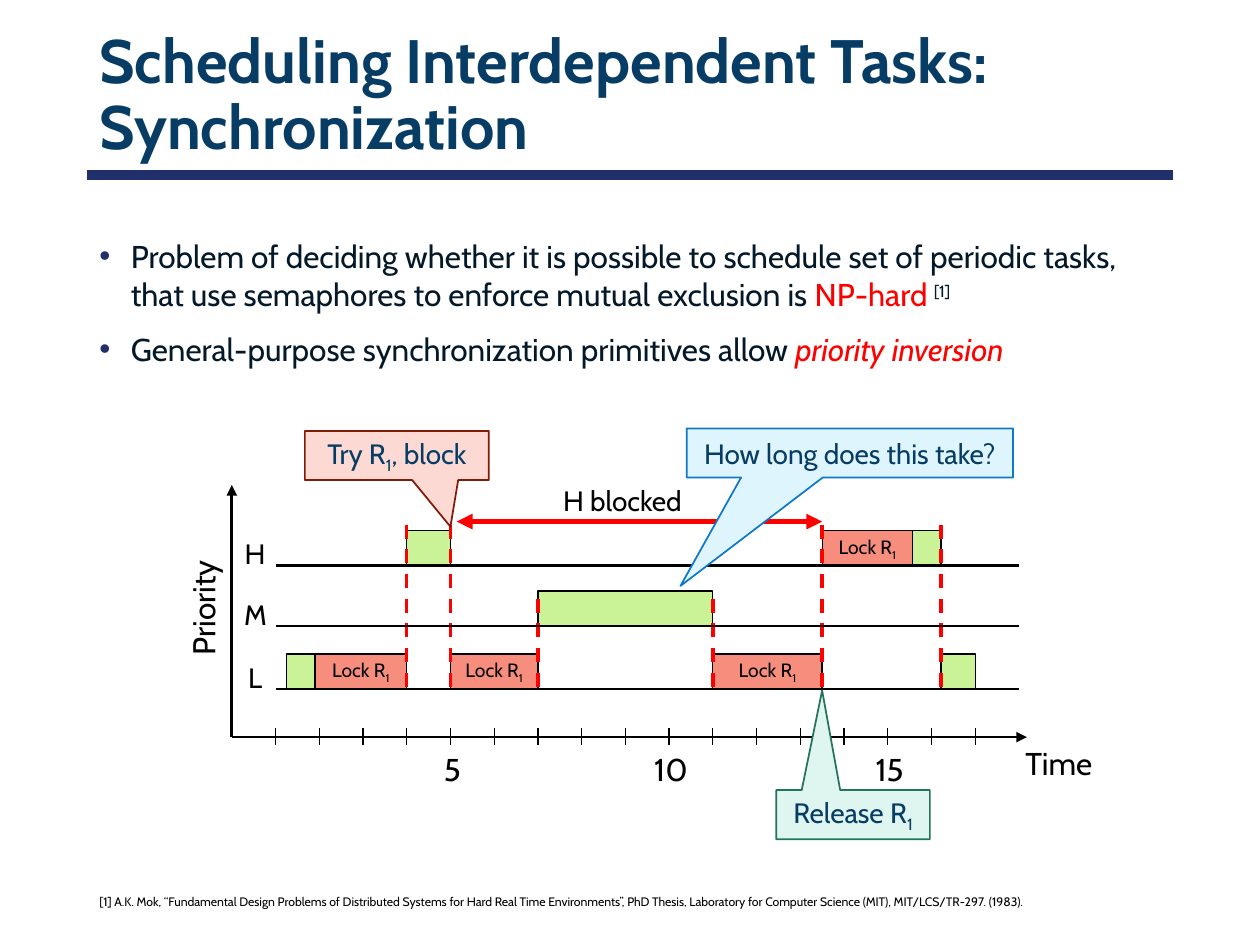
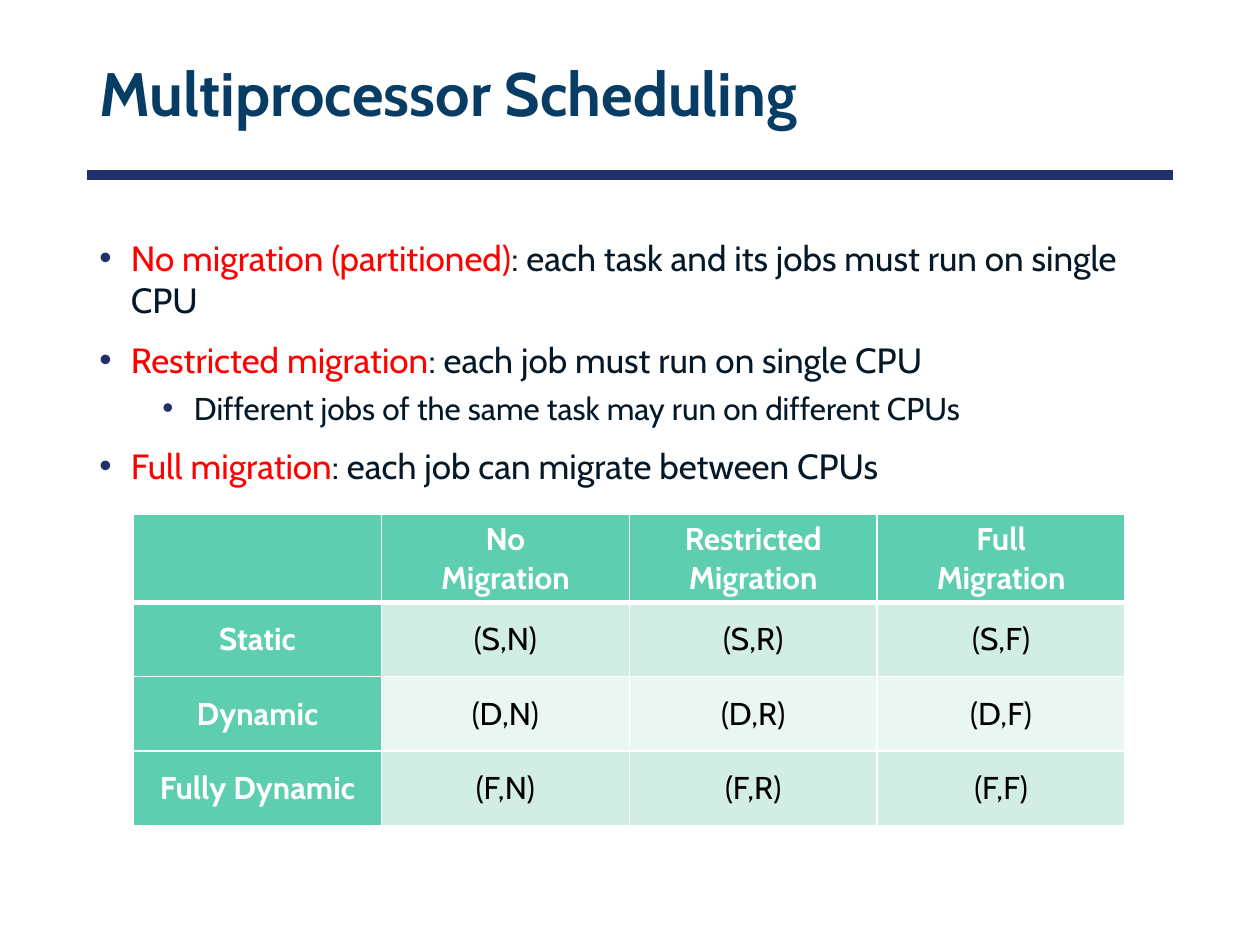
import lxml.etree
import pptx
import pptx.dml.color
import pptx.enum.dml
import pptx.enum.shapes
import pptx.enum.text
import pptx.oxml.ns
import pptx.util

Inches = pptx.util.Inches
Pt = pptx.util.Pt
RGBColor = pptx.dml.color.RGBColor
Align = pptx.enum.text.PP_ALIGN
Anchor = pptx.enum.text.MSO_ANCHOR
Shape = pptx.enum.shapes.MSO_SHAPE
qn = pptx.oxml.ns.qn

FONT = "Cabin"
BLACK = RGBColor(0x00, 0x00, 0x00)
WHITE = RGBColor(0xFF, 0xFF, 0xFF)
RED = RGBColor(0xFF, 0x00, 0x00)
NAVY = RGBColor(0x21, 0x30, 0x6A)
TITLE_BLUE = RGBColor(0x07, 0x3C, 0x65)
BODY_INK = RGBColor(0x03, 0x18, 0x28)
RUN_GREEN = RGBColor(0xCA, 0xF2, 0x97)
LOCK_RED = RGBColor(0xF7, 0x8D, 0x7C)
SKY, SKY_EDGE = RGBColor(0xDF, 0xF5, 0xFD), RGBColor(0x0D, 0x79, 0xCA)
ROSE, ROSE_EDGE = RGBColor(0xFC, 0xD9, 0xD3), RGBColor(0x82, 0x1A, 0x08)
MINT, MINT_EDGE = RGBColor(0xDF, 0xF5, 0xEF), RGBColor(0x23, 0x73, 0x5D)
HEADER_GREEN = RGBColor(0x5D, 0xCE, 0xAF)
ROW_BANDS = [RGBColor(0xD2, 0xED, 0xE3), RGBColor(0xEA, 0xF6, 0xF2)]

CONTENT_LEFT, CONTENT_WIDTH = 0.69, 8.62
SUBSCRIPT = {"baseline": -25}
HIGHLIGHT = {"color": RED}


def element(parent, tag, **attributes):
    return lxml.etree.SubElement(parent, qn(tag), attributes)


def add_spans(para, spans, **base):
    """Add spans, each a string or a (string, format) pair, over a base format."""
    for item in spans:
        text, extra = (item, {}) if isinstance(item, str) else item
        style = {"name": FONT, "size": 16, "color": BLACK, **base, **extra}
        span = para.add_run()
        span.text = text
        span.font.color.rgb = style.pop("color")
        style["size"] = Pt(style["size"])
        baseline = style.pop("baseline", None)
        for key, value in style.items():
            setattr(span.font, key, value)
        if baseline:
            span.font._element.set("baseline", str(baseline * 1000))


def add_text(page, box, spans, align=Align.LEFT, anchor=Anchor.TOP, wrap=True, **style):
    label = page.shapes.add_textbox(*map(Inches, box))
    frame = label.text_frame
    frame.word_wrap = wrap
    frame.vertical_anchor = anchor
    frame.paragraphs[0].alignment = align
    add_spans(frame.paragraphs[0], spans, **style)
    return label


def add_line(page, start, end, width=1.5, color=BLACK, dashed=False, ends=()):
    """Draw a straight line; ends may name headEnd and tailEnd for arrowheads."""
    line = page.shapes.add_connector(
        pptx.enum.shapes.MSO_CONNECTOR.STRAIGHT, *map(Inches, (*start, *end)))
    line.line.color.rgb = color
    line.line.width = Pt(width)
    if dashed:
        line.line.dash_style = pptx.enum.dml.MSO_LINE.DASH
    for end_name in ends:
        element(line.line._get_or_add_ln(), f"a:{end_name}", type="triangle")
    element(line._element.spPr, "a:effectLst")


def add_filled(page, kind, box, fill, edge, edge_width, spans=(), wrap=True, **style):
    shape = page.shapes.add_shape(kind, *map(Inches, box))
    shape.shadow.inherit = False
    shape.fill.solid()
    shape.fill.fore_color.rgb = fill
    shape.line.color.rgb = edge
    shape.line.width = Pt(edge_width)
    if spans:
        frame = shape.text_frame
        frame.word_wrap = wrap
        frame.vertical_anchor = Anchor.MIDDLE
        frame.paragraphs[0].alignment = Align.CENTER
        add_spans(frame.paragraphs[0], spans, **style)
    return shape


def add_callout(page, box, tip, fill, edge, spans):
    """Draw a rectangular callout whose pointer reaches the point tip."""
    left, top, width, height = box
    shape = add_filled(page, Shape.RECTANGULAR_CALLOUT, box, fill, edge, 1, spans,
                       color=TITLE_BLUE)
    shape.adjustments[0] = (tip[0] - left) / width - 0.5
    shape.adjustments[1] = (tip[1] - top) / height - 0.5


def add_page(deck, title):
    page = deck.slides.add_slide(deck.slide_layouts[6])
    add_line(page, (CONTENT_LEFT, 1.39), (CONTENT_LEFT + CONTENT_WIDTH, 1.39), 6, NAVY)
    label = add_text(page, (CONTENT_LEFT, 0.23, CONTENT_WIDTH, 1.08), [title],
                     anchor=Anchor.MIDDLE, size=35, color=TITLE_BLUE, bold=True)
    label.text_frame.paragraphs[0].line_spacing = 0.9
    return page


def add_bullets(page, box, bullets):
    """Add bullets given as (level, size, spans)."""
    frame = page.shapes.add_textbox(*map(Inches, box)).text_frame
    frame.word_wrap = True
    for index, (level, size, spans) in enumerate(bullets):
        para = frame.add_paragraph() if index else frame.paragraphs[0]
        para.level = level
        para.space_before = Pt(5 if level else 10)
        properties = para._p.get_or_add_pPr()
        properties.set("marL", str(Inches(0.25 + 0.5 * level)))
        properties.set("indent", str(Inches(-0.25)))
        bullet_color = element(properties, "a:buClr")
        element(bullet_color, "a:srgbClr", val=str(NAVY))
        element(properties, "a:buFont", typeface="Arial")
        element(properties, "a:buChar", char="•")
        add_spans(para, spans, size=size, color=BODY_INK)


def add_schedule(page, left, top):
    """Draw the priority/time diagram with its vertical axis at left."""
    last_tick, time_span = 17, 5.9
    lanes = {"H": top + 1.09, "M": top + 1.57, "L": top + 2.07}
    axis_y = top + 2.45
    block_height = 0.28
    lock = ["Lock R", ("1", SUBSCRIPT)]

    def at(time):
        return left + time * time_span / last_tick

    blocks = [
        ("H", 15.57, 16.22, False), ("H", 13.5, 15.57, True), ("L", 16.22, 17, False),
        ("M", 7, 11, False), ("H", 4, 5, False), ("L", 1.25, 1.9, False),
        ("L", 5, 7, True), ("L", 11, 13.5, True), ("L", 1.9, 4, True),
    ]
    for lane, start, end, locked in blocks:
        box = (at(start), lanes[lane] - block_height, at(end) - at(start), block_height)
        add_filled(page, Shape.RECTANGLE, box, LOCK_RED if locked else RUN_GREEN, BLACK,
                   0.75, lock if locked else (), wrap=False, size=11)

    add_text(page, (left + 2.24, top + 0.39, 1.72, 0.37), ["H blocked"], Align.CENTER)
    switches = [(4, "H"), (5, "H"), (7, "M"), (11, "M"), (13.5, "H"), (16.22, "H")]
    for time, lane in switches:
        rise = 0.34 if lane == "H" else 0.27
        add_line(page, (at(time), lanes["L"] - 0.02), (at(time), lanes[lane] - rise),
                 2, RED, dashed=True)
    blocked_y = top + 0.74
    add_line(page, (at(5) + 0.05, blocked_y), (at(13.5), blocked_y), 3, RED,
             ends=("headEnd", "tailEnd"))

    for name, lane_y in lanes.items():
        add_line(page, (at(1), lane_y), (left + 6.25, lane_y))
        add_text(page, (left, lane_y - 0.28, 0.37, 0.37), [name], Align.CENTER, wrap=False)

    add_line(page, (left, axis_y), (left + 6.31, axis_y), ends=("tailEnd",))
    add_line(page, (left, axis_y), (left, top + 0.45), ends=("tailEnd",))
    for tick in range(1, last_tick + 1):
        add_line(page, (at(tick), axis_y - 0.07), (at(tick), axis_y + 0.06), 0.75)
        if tick % 5 == 0:
            add_text(page, (at(tick) - 0.26, axis_y + 0.05, 0.55, 0.33), [str(tick)],
                     Align.CENTER, size=18)
    priority = add_text(page, (left - 0.74, top + 1.19, 1.02, 0.4), ["Priority"], size=18)
    priority.rotation = 270
    add_text(page, (left + 6.2, axis_y + 0.01, 0.8, 0.4), ["Time"], size=18)

    add_callout(page, (left + 3.61, top, 2.59, 0.39), (left + 3.56, top + 1.25),
                SKY, SKY_EDGE, ["How long does this take?"])
    add_callout(page, (left + 0.58, top + 0.02, 1.46, 0.39), (at(5), top + 0.78),
                ROSE, ROSE_EDGE, ["Try R", ("1", SUBSCRIPT), ", block"])
    add_callout(page, (left + 4.32, top + 2.87, 1.22, 0.39), (at(13.5), lanes["L"] + 0.01),
                MINT, MINT_EDGE, ["Release R", ("1", SUBSCRIPT)])


def set_cell_borders(cell, bottom_width):
    properties = cell._tc.get_or_add_tcPr()
    widths = {"lnL": 1, "lnR": 1, "lnT": 1, "lnB": bottom_width}
    for side, width in widths.items():
        border = element(properties, f"a:{side}", w=str(Pt(width)))
        element(element(border, "a:solidFill"), "a:srgbClr", val=str(WHITE))


def add_migration_table(page, box):
    rows = [
        ["", "No\vMigration", "Restricted Migration", "Full\vMigration"],
        *([name] + [f"({name[0]},{kind})" for kind in "NRF"]
          for name in ("Static", "Dynamic", "Fully Dynamic")),
    ]
    table = page.shapes.add_table(len(rows), len(rows[0]), *map(Inches, box)).table
    table.horz_banding = False
    for column in table.columns:
        column.width = Inches(box[2] / len(rows[0]))
    for row_index, texts in enumerate(rows):
        table.rows[row_index].height = Inches(0.59 if row_index else 0.7)
        for column_index, text in enumerate(texts):
            heading = row_index == 0 or column_index == 0
            cell = table.cell(row_index, column_index)
            set_cell_borders(cell, 1 if row_index else 3)
            cell.fill.solid()
            cell.fill.fore_color.rgb = (
                HEADER_GREEN if heading else ROW_BANDS[(row_index - 1) % 2])
            cell.vertical_anchor = Anchor.MIDDLE
            para = cell.text_frame.paragraphs[0]
            para.alignment = Align.CENTER
            for line_index, line in enumerate(text.split("\v")):
                if line_index:
                    para.add_line_break()
                add_spans(para, [line], size=18, bold=heading,
                          color=WHITE if heading else BLACK)


def build_synchronization(deck):
    page = add_page(deck, "Scheduling Interdependent Tasks: Synchronization")
    add_bullets(page, (CONTENT_LEFT, 1.83, CONTENT_WIDTH, 1.3), [
        (0, 18, ["Problem of deciding whether it is possible to schedule set of periodic "
                 "tasks, that use semaphores to enforce mutual exclusion is ",
                 ("NP-hard", HIGHLIGHT), (" ", {"size": 16}),
                 ("[1]", {"size": 16, "baseline": 30})]),
        (0, 18, ["General-purpose synchronization primitives allow ",
                 ("priority inversion", {**HIGHLIGHT, "italic": True})]),
    ])
    add_schedule(page, 1.84, 3.4)
    add_text(page, (CONTENT_LEFT, 7.05, CONTENT_WIDTH, 0.22), [
        "[1] A.K. Mok, ‘‘Fundamental Design Problems of Distributed Systems for Hard Real "
        "Time Environments’’, PhD Thesis, Laboratory for Computer Science (MIT), "
        "MIT/LCS/TR-297. (1983)."], size=7)


def build_multiprocessor(deck):
    page = add_page(deck, "Multiprocessor Scheduling")
    add_bullets(page, (CONTENT_LEFT, 1.83, CONTENT_WIDTH, 2.2), [
        (0, 20, [("No migration (partitioned)", HIGHLIGHT),
                 ": each task and its jobs must run on single CPU"]),
        (0, 20, [("Restricted migration", HIGHLIGHT), ": each job must run on single CPU"]),
        (1, 18, ["Different jobs of the same task may run on different CPUs"]),
        (0, 20, [("Full migration", HIGHLIGHT), ": each job can migrate between CPUs"]),
    ])
    add_migration_table(page, (1.06, 4.08, 7.87, 2.47))


def main():
    deck = pptx.Presentation()
    deck.slide_width, deck.slide_height = Inches(10), Inches(7.5)
    build_synchronization(deck)
    build_multiprocessor(deck)
    deck.save("out.pptx")


if __name__ == "__main__":
    main()
